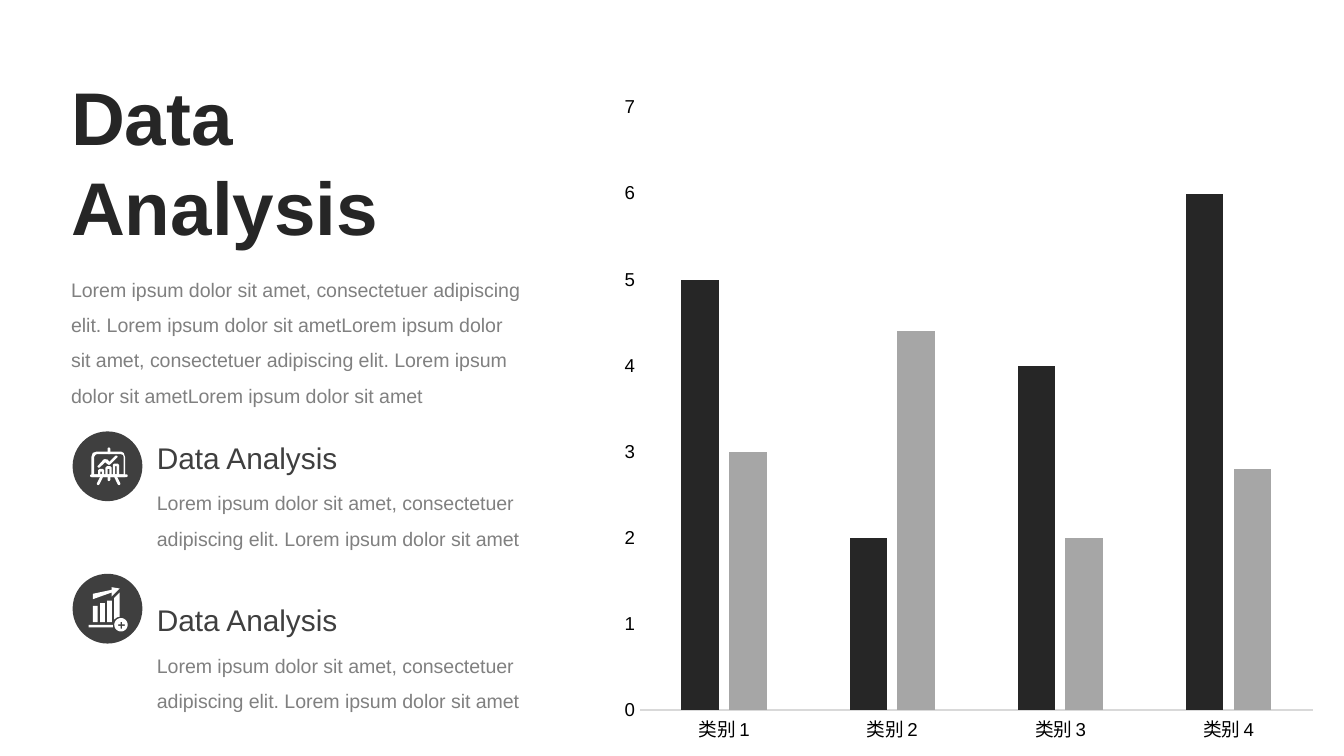
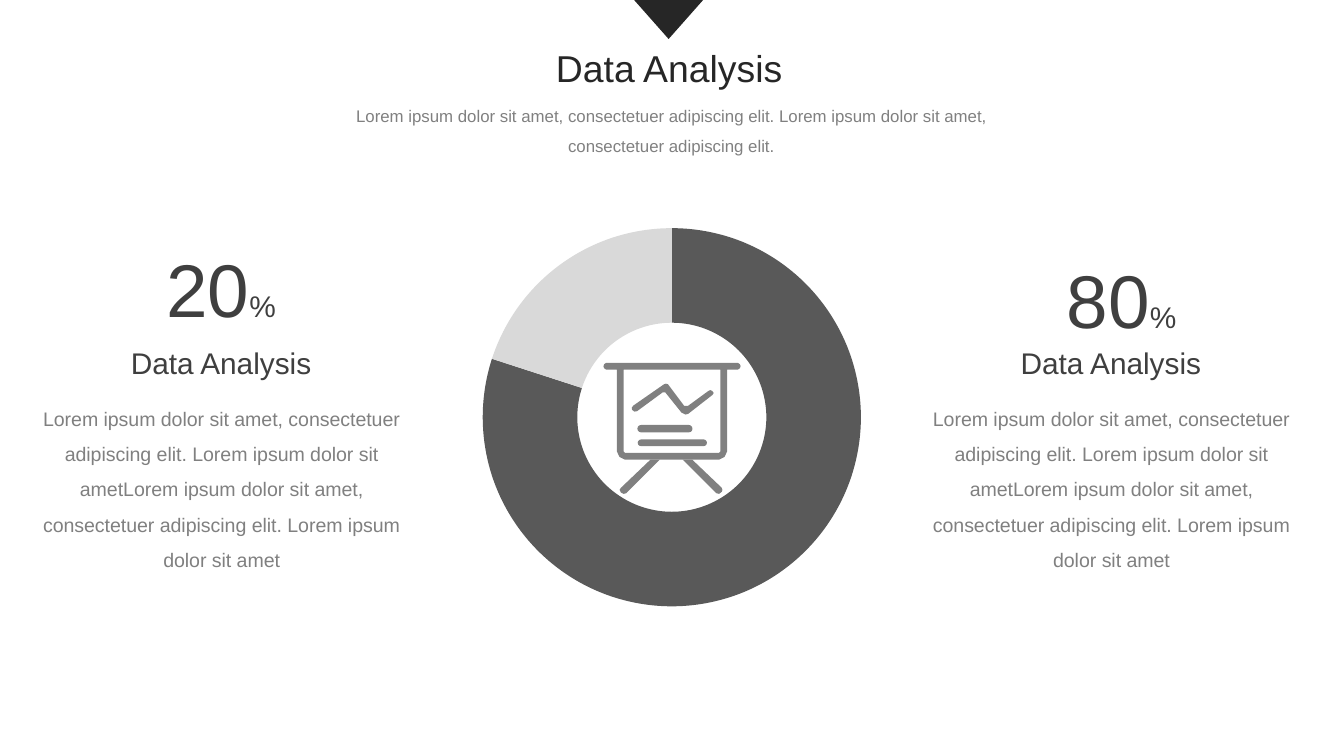
import math
from dataclasses import dataclass

from lxml import etree
from pptx import Presentation
from pptx import util as u
from pptx.chart.data import CategoryChartData
from pptx.dml.color import RGBColor
from pptx.enum import chart as chart_enum, shapes, text
from pptx.oxml import ns

Pt = u.Pt
Point = tuple[float, float]
Contour = list[Point]

FONT = "Arial"
INK, DARK, RING, GREY = "262626", "3F3F3F", "595959", "808080"
SILVER, PALE, WHITE, BLACK = "A6A6A6", "D9D9D9", "FFFFFF", "000000"

HEADING = "Data Analysis"
SENTENCE = "Lorem ipsum dolor sit amet, consectetuer adipiscing elit."
SHORT = "Lorem ipsum dolor sit amet"
BRIEF = f"{SENTENCE} {SHORT}"
LONG = f"{BRIEF}{BRIEF}"

ICON_UNIT = 0.72  # points per icon grid unit
DISC_SIZE = 37.4
HEADING_WIDTH = 179.3


@dataclass(frozen=True)
class Box:
    left: float
    top: float
    width: float
    height: float

    def lengths(self) -> list[u.Length]:
        return [Pt(n) for n in (self.left, self.top, self.width, self.height)]


@dataclass(frozen=True)
class Feature:
    top: float
    disc_top: float
    glyphs: list[list[Contour]]


@dataclass(frozen=True)
class Share:
    left: float
    percent: str
    percent_left: float
    percent_top: float


def colour(hex_string: str) -> RGBColor:
    return RGBColor.from_string(hex_string)


def paint(shape, fill: str):
    """Give a flat fill without outline or shadow."""
    shape.shadow.inherit = False
    shape.fill.solid()
    shape.fill.fore_color.rgb = colour(fill)
    shape.line.fill.background()
    return shape


def add_run(paragraph, words: str, size: float, ink: str, bold: bool = False) -> None:
    run = paragraph.add_run()
    run.text = words
    run.font.name = FONT
    run.font.size = Pt(size)
    run.font.bold = bold
    run.font.color.rgb = colour(ink)


def add_text(slide, box: Box, words: str, *, size: float, ink: str, bold: bool = False,
             centred: bool = False, spacing: float | None = None):
    """Add a wrapped text box and return its paragraph."""
    frame = slide.shapes.add_textbox(*box.lengths()).text_frame
    frame.word_wrap = True
    frame.auto_size = text.MSO_AUTO_SIZE.SHAPE_TO_FIT_TEXT
    paragraph = frame.paragraphs[0]
    if centred:
        paragraph.alignment = text.PP_ALIGN.CENTER
    if spacing:
        paragraph.line_spacing = spacing
    add_run(paragraph, words, size, ink, bold)
    return paragraph


def add_subheading(slide, left: float, top: float, centred: bool = False) -> None:
    add_text(slide, Box(left, top, HEADING_WIDTH, 26.6), HEADING,
             size=16, ink=DARK, centred=centred)


def add_body(slide, box: Box, words: str, size: float = 10.5, centred: bool = False) -> None:
    add_text(slide, box, words, size=size, ink=GREY, centred=centred, spacing=1.5)


# Icon outlines, in icon grid units

def outline(points: str) -> Contour:
    """Read "x,y x,y ..." as a contour."""
    return [(float(x), float(y)) for x, y in (pair.split(",") for pair in points.split())]


def rectangle(left: float, top: float, right: float, bottom: float, cut: float = 0) -> Contour:
    """Rectangle whose corners may be cut off."""
    if not cut:
        return [(left, top), (right, top), (right, bottom), (left, bottom)]
    return [(left + cut, top), (right - cut, top), (right, top + cut), (right, bottom - cut),
            (right - cut, bottom), (left + cut, bottom), (left, bottom - cut), (left, top + cut)]


def capsule(x1: float, y1: float, x2: float, y2: float, width: float) -> Contour:
    """Thick line with round ends."""
    angle = math.atan2(y2 - y1, x2 - x1)
    points = []
    for x, y, start in ((x2, y2, angle - math.pi / 2), (x1, y1, angle + math.pi / 2)):
        turns = [start + step * math.pi / 6 for step in range(7)]
        points += [(x + width / 2 * math.cos(t), y + width / 2 * math.sin(t)) for t in turns]
    return points


def circle(x: float, y: float, radius: float) -> Contour:
    turns = [step * math.pi / 12 for step in range(24)]
    return [(x + radius * math.cos(t), y + radius * math.sin(t)) for t in turns]


def plus(x: float, y: float, arm: float, half: float) -> Contour:
    steps = [(-half, -arm), (half, -arm), (half, -half), (arm, -half), (arm, half), (half, half),
             (half, arm), (-half, arm), (-half, half), (-arm, half), (-arm, -half), (-half, -half)]
    return [(x + dx, y + dy) for dx, dy in steps]


def hollow_bar(left: float, top: float) -> list[Contour]:
    return [rectangle(left, top, left + 4.6, 34, 1),
            rectangle(left + 1.7, top + 2, left + 2.9, 32)]


BOARD = [
    hollow_bar(19, 28) + hollow_bar(24.5, 26) + hollow_bar(30, 24),
    [outline("39,34 14,34 14,19 15,16 18,15 36,15 38,16 39,19"),
     outline("38,32 16,32 16,19 17,17.5 18,17 36,17 37.5,17.5 38,19")],
    [capsule(19, 39, 21.5, 34, 2), capsule(34.5, 39, 32, 34, 2), capsule(27, 13, 27, 16, 2),
     outline("19,27 18.5,26 23,21 24,20.7 26,21 27.3,22.7 32,18 33,18 33.5,19 "
             "28,24.5 27,25 26,24.5 24.3,23 20,27")],
    [capsule(14, 33, 40, 33, 2)],
    [capsule(27, 34, 27, 36, 2)],
]
GROWTH = [[
    rectangle(15, 24, 18.6, 36), rectangle(20.4, 22, 24, 36), rectangle(25.7, 20, 29.3, 36),
    outline("35,32 35,14 31,18 31,34 33,32.5"),
    outline("29,17 35,11 29,10 29,12 15,15 15,19 29,14"),
    rectangle(12, 38, 30, 40), circle(36, 38, 5), plus(36.3, 38.3, 2.5, 0.6),
]]
EASEL = [
    [outline("25,36 44,22 46,22 58,37 61,38.5 63,38 81,24 82,22.5 81,21 79.5,20.3 78,21 "
             "63,32 60,32 48,16 46.5,15.5 45,16 22,32 21,33.5 21.3,35 23,36.3")],
    [outline("100,0 2,0 0.5,1 0,2.5 0.5,4 2,5 10,5 10,66 12,70 16,72 86,72 90,70 92,66 "
             "92,5 100,5 101.5,4 102,2.5 101.5,1"),
     outline("87,66 86,67 16,67 15,66 15,5 87,5")],
    [capsule(28, 49, 63.5, 49, 5.5), capsule(28, 59.5, 74.5, 59.5, 5),
     outline("13,93 12,94.5 13,96.5 15,97.5 17,97 42,72 35,72"),
     outline("66,72 59,72 84,97 86,97.5 88,96 88.5,94.5 88,93")],
]


def draw_icon(group, left: float, top: float, glyphs: list[list[Contour]], fill: str) -> None:
    """Draw each glyph as one freeform; inner contours become holes."""
    fine = 100
    for contours in glyphs:
        builder = None
        for contour in contours:
            start, *rest = [(x * fine, y * fine) for x, y in contour]
            if builder is None:
                builder = group.shapes.build_freeform(*start, scale=Pt(ICON_UNIT) / fine)
            else:
                builder.move_to(*start)
            builder.add_line_segments(rest, close=True)
        paint(builder.convert_to_shape(Pt(left), Pt(top)), fill)


def add_chart(slide, box: Box, kind, categories: list[str], series: list[list[float]]):
    data = CategoryChartData()
    data.categories = categories
    for number, values in enumerate(series, 1):
        data.add_series(f"Series {number}", values)
    chart = slide.shapes.add_chart(kind, *box.lengths(), data).chart
    chart.has_title = False
    chart.has_legend = False
    chart.font.name = FONT
    chart.font.size = Pt(10)
    chart.font.color.rgb = colour(BLACK)
    return chart


def fill_chart_part(part, fill: str) -> None:
    part.format.fill.solid()
    part.format.fill.fore_color.rgb = colour(fill)
    part.format.line.fill.background()


def add_columns(slide) -> None:
    categories = [f"类别 {number}" for number in range(1, 5)]
    chart = add_chart(slide, Box(327, 44.8, 383.8, 360), chart_enum.XL_CHART_TYPE.COLUMN_CLUSTERED,
                      categories, [[5, 2, 4, 6], [3, 4.4, 2, 2.8]])
    plot = chart.plots[0]
    plot.vary_by_categories = False
    plot.gap_width, plot.overlap = 219, -27
    for series, fill in zip(plot.series, (INK, SILVER)):
        fill_chart_part(series, fill)
    for axis in (chart.category_axis, chart.value_axis):
        axis.has_major_gridlines = False
        axis.major_tick_mark = axis.minor_tick_mark = chart_enum.XL_TICK_MARK.NONE
        axis.tick_labels.font.name = FONT
        axis.tick_labels.font.size = Pt(10)
        axis.tick_labels.font.color.rgb = colour(BLACK)
    chart.category_axis.format.line.color.rgb = colour(PALE)
    chart.category_axis.format.line.width = Pt(0.75)
    value_axis = chart.value_axis
    value_axis.format.line.fill.background()
    value_axis.minimum_scale, value_axis.maximum_scale, value_axis.major_unit = 0, 7, 1


def add_ring(slide) -> None:
    chart = add_chart(slide, Box(193.2, 112.3, 333.4, 222.5), chart_enum.XL_CHART_TYPE.DOUGHNUT,
                      ["1", "2"], [[80, 20]])
    plot = chart.plots[0]
    for index, fill in enumerate((RING, PALE)):
        fill_chart_part(plot.series[0].points[index], fill)
    doughnut = chart.element.find(f".//{ns.qn('c:doughnutChart')}")
    hole = doughnut.find(ns.qn("c:holeSize"))
    if hole is None:
        hole = etree.SubElement(doughnut, ns.qn("c:holeSize"))
    hole.set("val", "75")


def add_feature(slide, feature: Feature) -> None:
    left, disc_left = 77, 38.9
    add_subheading(slide, left, feature.top)
    add_body(slide, Box(left, feature.top + 21.6, 241.2, 43.2), BRIEF)
    group = slide.shapes.add_group_shape()
    disc = Box(disc_left, feature.disc_top, DISC_SIZE, DISC_SIZE)
    paint(group.shapes.add_shape(shapes.MSO_SHAPE.OVAL, *disc.lengths()), DARK)
    draw_icon(group, disc_left, feature.disc_top, feature.glyphs, WHITE)


def add_share(slide, share: Share) -> None:
    add_subheading(slide, share.left + 20.9, 181.4, centred=True)
    add_body(slide, Box(share.left, 208.1, 221.8, 103), f"{LONG.removesuffix(BRIEF)}{BRIEF}",
             centred=True)
    paragraph = add_text(slide, Box(share.percent_left, share.percent_top, HEADING_WIDTH, 55.4),
                         share.percent, size=40, ink=DARK, centred=True)
    add_run(paragraph, "%", 16, DARK)


def build_column_slide(slide) -> None:
    add_text(slide, Box(31, 34.6, HEADING_WIDTH, 104.4), HEADING, size=40, ink=INK, bold=True)
    add_body(slide, Box(31, 139, 257.8, 83.5), f"{LONG}{SHORT}")
    add_columns(slide)
    for feature in (Feature(231.8, 231.1, BOARD), Feature(319, 307.4, GROWTH)):
        add_feature(slide, feature)


def build_ring_slide(slide) -> None:
    add_text(slide, Box(198, 20.9, 321.1, 31.7), HEADING, size=20, ink=INK, centred=True)
    marker = Box(339.1, -0.7, 38.2, 21.6)
    triangle = slide.shapes.add_shape(shapes.MSO_SHAPE.ISOSCELES_TRIANGLE, *marker.lengths())
    paint(triangle, INK).rotation = 180
    add_body(slide, Box(180.7, 47.5, 357.8, 38.2), f"{SENTENCE} {SENTENCE}", 9, centred=True)
    add_ring(slide)
    for share in (Share(7.9, "20", 28.8, 126.7), Share(484.6, "80", 511.2, 132.5)):
        add_share(slide, share)
    draw_icon(slide.shapes.add_group_shape(), 323.3, 194.4, EASEL, GREY)


def main() -> None:
    presentation = Presentation()
    presentation.slide_width, presentation.slide_height = Pt(720), Pt(405)
    blank = presentation.slide_layouts[6]
    for build in (build_column_slide, build_ring_slide):
        build(presentation.slides.add_slide(blank))
    presentation.save("out.pptx")


if __name__ == "__main__":
    main()
